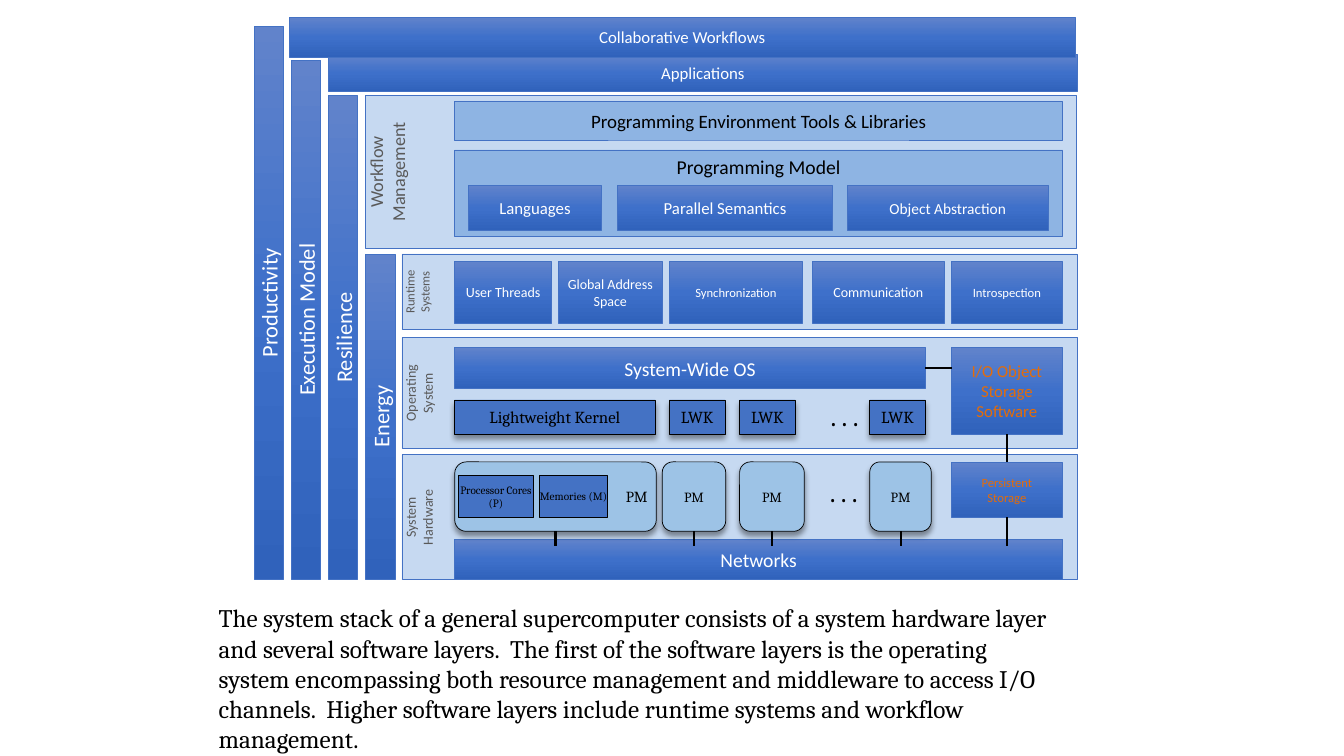
from pptx import Presentation
from pptx.dml.color import RGBColor
from pptx.enum.shapes import MSO_CONNECTOR, MSO_SHAPE
from pptx.enum.text import MSO_ANCHOR, MSO_AUTO_SIZE, PP_ALIGN
from pptx.oxml import parse_xml
from pptx.oxml.ns import nsdecls, qn
from pptx.util import Cm, Pt
from lxml.etree import SubElement

HUE = {"top": "6183CB", "mid": "3E70CA", "low": "3062BB", "blue": "4472C4",
       "pale": "C6D9F1", "sky": "8EB4E3", "node": "9DC3E6", "white": "FFFFFF",
       "black": "000000", "grey": "595959", "orange": "E36C0A"}

LOOKS = {
    "bar": {"fill": None, "line": "blue", "ink": "white", "font": "Calibri"},
    "store": {"fill": None, "line": "blue", "ink": "orange", "font": "Calibri"},
    "tool": {"fill": "sky", "line": "blue", "ink": "black", "font": "Calibri"},
    "pane": {"fill": "pale", "line": "blue", "ink": "grey", "font": "Calibri"},
    "part": {"fill": "blue", "line": "black", "ink": "black", "font": "Cambria"},
    "chip": {"fill": "blue", "line": "black", "ink": "black", "font": "Cambria", "shade": True},
    "node": {"fill": "node", "line": "black", "ink": "black", "font": "Cambria", "shade": True,
             "form": MSO_SHAPE.ROUNDED_RECTANGLE},
}
WIDE = (0.25, 0.13, 0.25, 0.13)
NONE = (0, 0, 0, 0)
INSET = 1.33
SIDE = 13.85


def tint(name):
    """Return the named colour."""
    return RGBColor.from_string(HUE[name])


def apply(item, values):
    """Set every attribute in a dict of format values."""
    for key, value in values.items():
        setattr(item, key, value)


def blend(shape):
    """Fill a shape with the three-stop vertical gradient."""
    stops = "".join(f'<a:gs pos="{pos}"><a:srgbClr val="{HUE[name]}"/></a:gs>'
                    for pos, name in ((0, "top"), (50000, "mid"), (100000, "low")))
    shape._element.spPr.append(parse_xml(
        f'<a:gradFill {nsdecls("a")} rotWithShape="1"><a:gsLst>{stops}</a:gsLst>'
        '<a:lin ang="5400000" scaled="0"/></a:gradFill>'))


def shade(shape):
    """Give a shape a soft shadow below it."""
    effects = shape._element.spPr.find(qn("a:effectLst"))
    effects.append(parse_xml(
        f'<a:outerShdw {nsdecls("a")} blurRad="{Pt(4)}" dist="{Pt(3)}" dir="5400000" '
        f'rotWithShape="0"><a:srgbClr val="{HUE["black"]}"><a:alpha val="40000"/>'
        '</a:srgbClr></a:outerShdw>'))


def write(frame, text, size, font, ink, align=PP_ALIGN.CENTER):
    """Write and format the paragraphs of a text frame."""
    frame.text = text
    for para in frame.paragraphs:
        para.alignment = align
        apply(para.font, {"size": Pt(size), "name": font})
        para.font.color.rgb = tint(ink)


def block(page, box, text, size, kind="bar", pad=WIDE, turn=False,
          anchor=MSO_ANCHOR.MIDDLE, align=PP_ALIGN.CENTER):
    """Draw one labelled block in the given box."""
    look = LOOKS[kind]
    shape = page.shapes.add_shape(look.get("form", MSO_SHAPE.RECTANGLE), *map(Cm, box))
    if look["fill"]:
        shape.fill.solid()
        shape.fill.fore_color.rgb = tint(look["fill"])
    else:
        blend(shape)
    shape.line.color.rgb = tint(look["line"])
    shape.line.width = Pt(0.5)
    shape.shadow.inherit = False
    if look.get("shade"):
        shade(shape)
    frame = shape.text_frame
    left, top, right, low = map(Cm, pad)
    apply(frame, {"word_wrap": True, "vertical_anchor": anchor, "margin_left": left,
                  "margin_top": top, "margin_right": right, "margin_bottom": low})
    if turn:
        frame._txBody.bodyPr.set("vert", "vert270")
    write(frame, text, size, look["font"], look["ink"], align)
    return shape


def pane(page, box, text, size):
    """Draw the pale ground of a layer with its upright label."""
    block(page, box, text, size, "pane", (0, 0.13, 0.25, 0.13), True, MSO_ANCHOR.TOP)


def dots(page, x, y):
    """Place the dots that stand for more units."""
    frame = page.shapes.add_textbox(Cm(x), Cm(y), Cm(1.27), Cm(1.12)).text_frame
    apply(frame, {"word_wrap": False, "auto_size": MSO_AUTO_SIZE.SHAPE_TO_FIT_TEXT})
    write(frame, ". . .", 20, "Cambria", "black")


def wire(page, start, side, x, y, goal=None):
    """Draw a line from a shape's side to a point or to the top of a goal."""
    line = page.shapes.add_connector(MSO_CONNECTOR.STRAIGHT, x, y, x, y)
    line.begin_connect(start, side)
    if goal:
        line.end_connect(goal, 0)
    line.line.color.rgb = tint("black")
    line.line.width = Pt(1.5)
    SubElement(line._element.spPr, qn("a:effectLst"))


def heads(page, box):
    """Draw the two wide bars at the top of the stack."""
    x, y, w, h = box
    block(page, (x + 0.99, y + 0.94, w - 0.94, 0.94), "Applications", 12)
    block(page, (x, y, w, h), "Collaborative Workflows", 12)


def posts(page, box):
    """Draw the upright bars, which share one foot."""
    x, y, w, h = box
    names = (("Productivity", 0), ("Execution Model", 0.86), ("Resilience", 1.75), ("Energy", 5.74))
    for i, (name, drop) in enumerate(names):
        block(page, (x + 0.94 * i, y + drop, w, h - drop), name, 16, turn=True)


def flow(page, box):
    """Draw the workflow management layer."""
    x, y, _, _ = box
    pane(page, box, "Workflow\nManagement", 13)
    block(page, (x + 2.26, y + 0.15, 15.32, 0.97),
          "Programming Environment Tools & Libraries", 13.5, "tool")
    block(page, (x + 2.26, y + 1.37, 15.32, 2.18), "Programming Model", 14, "tool",
          anchor=MSO_ANCHOR.TOP)
    for name, dx, w, size in (("Languages", 2.61, 3.35, 12), ("Parallel Semantics", 6.37, 5.41, 12),
                              ("Object Abstraction", 12.16, 5.05, 11)):
        block(page, (x + dx, y + 2.26, w, 1.14), name, size)


def runtime(page, box):
    """Draw the runtime systems layer."""
    x, y, _, _ = box
    pane(page, box, "Runtime\nSystems", 9)
    for name, dx, w, size in (("User Threads", INSET, 2.44, 10),
                              ("Global Address Space", 3.94, 2.62, 10),
                              ("Synchronization", 6.74, 3.35, 9),
                              ("Communication", 10.34, 3.33, 10),
                              ("Introspection", SIDE, 2.79, 9)):
        block(page, (x + dx, y + 0.18, w, 1.57), name, size, pad=NONE)


def system(page, box):
    """Draw the operating system layer and return its storage block."""
    x, y, _, _ = box
    pane(page, box, "Operating\nSystem", 10)
    for name, dx, w in (("Lightweight Kernel", INSET, 5.05), ("LWK", 6.74, 1.4),
                        ("LWK", 8.51, 1.4), ("LWK", 11.79, 1.4)):
        block(page, (x + dx, y + 1.57, w, 0.86), name, 12, "chip", NONE)
    dots(page, x + 10.52, y + 1.4)
    store = block(page, (x + SIDE, y + 0.25, 2.79, 2.18), "I/O Object Storage Software", 12, "store")
    main = block(page, (x + INSET, y + 0.25, 11.86, 1.04), "System-Wide OS", 14)
    wire(page, main, 3, store.left, main.top + main.height // 2)
    return store


def metal(page, box):
    """Draw the system hardware layer and return its storage block."""
    x, y, _, _ = box
    pane(page, box, "System\nHardware", 10)
    block(page, (x + INSET, y + 2.13, 15.32, 1.02), "Networks", 14)
    nodes = [block(page, (x + INSET, y + 0.18, 5.08, 1.75), "PM", 11, "node",
                   (0.25, 0.13, 0.13, 0.13), align=PP_ALIGN.RIGHT)]
    for name, dx, w in (("Processor Cores (P)", 1.43, 1.88), ("Memories (M)", 3.46, 1.73)):
        block(page, (x + dx, y + 0.53, w, 1.04), name, 8, "part", NONE)
    for dx, w in ((6.56, 1.6), (8.51, 1.63), (11.79, 1.55)):
        nodes.append(block(page, (x + dx, y + 0.18, w, 1.75), "PM", 10, "node"))
    dots(page, x + 10.5, y + 0.36)
    store = block(page, (x + SIDE, y + 0.18, 2.79, 1.4), "Persistent Storage", 9, "store")
    for node in nodes + [store]:
        wire(page, node, 2, node.left + node.width // 2, Cm(y + 2.29))
    return store


def note(page, box):
    """Write the text below the stack."""
    frame = page.shapes.add_textbox(*map(Cm, box)).text_frame
    apply(frame, {"word_wrap": True, "auto_size": MSO_AUTO_SIZE.SHAPE_TO_FIT_TEXT})
    write(frame, "The system stack of a general supercomputer consists of a system hardware layer "
          "and several software layers.  The first of the software layers is the operating system "
          "encompassing both resource management and middleware to access I/O channels.  Higher "
          "software layers include runtime systems and workflow management.",
          18, "Cambria", "black", PP_ALIGN.LEFT)


def main():
    """Build the slide and save it."""
    deck = Presentation()
    apply(deck, {"slide_width": Cm(33.87), "slide_height": Cm(19.05)})
    page = deck.slides.add_slide(deck.slide_layouts[6])
    heads(page, (7.29, 0.43, 19.81, 1.02))
    posts(page, (6.4, 0.66, 0.74, 13.94))
    flow(page, (9.2, 2.41, 17.93, 3.84))
    runtime(page, (10.13, 6.4, 17.02, 1.91))
    disk = metal(page, (10.13, 11.46, 17.02, 3.15))
    store = system(page, (10.13, 8.51, 17.02, 2.79))
    wire(page, store, 2, disk.left, disk.top, disk)
    note(page, (5.26, 15.06, 21.79, 4.11))
    deck.save("out.pptx")


if __name__ == "__main__":
    main()
